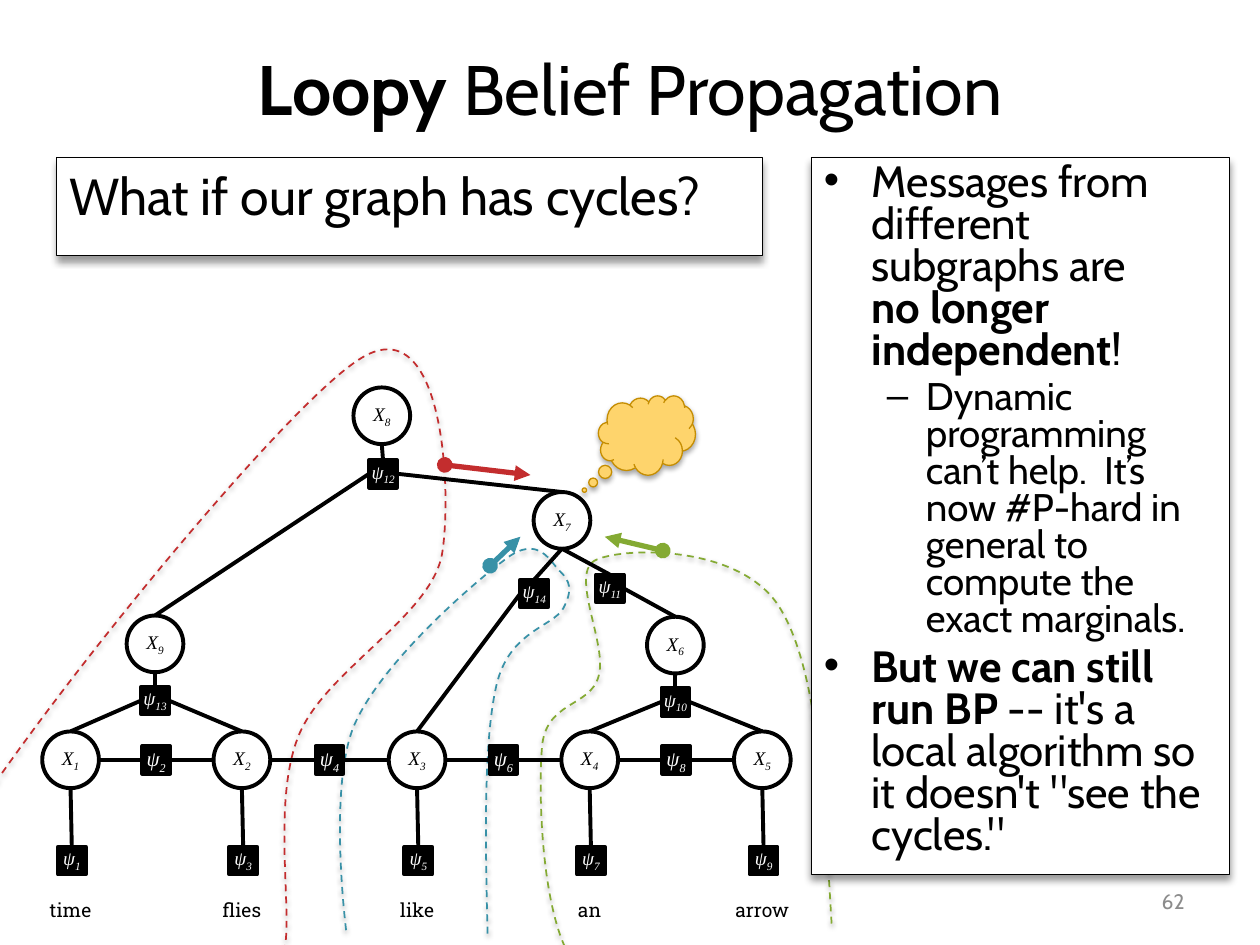
from lxml.etree import SubElement
from pptx import Presentation
from pptx.dml.color import RGBColor
from pptx.enum.dml import MSO_LINE_DASH_STYLE as Dash
from pptx.enum.shapes import MSO_CONNECTOR as Link, MSO_SHAPE as Kind
from pptx.enum.text import MSO_ANCHOR as Anchor, PP_ALIGN as Align
from pptx.oxml.ns import qn
from pptx.util import Inches, Pt

RED, GREEN, BLUE = "C32D2E", "84AA33", "3891A7"
NODE, FACTOR = 0.45, 0.22
PANEL_SHADOW = (40, 4, 3)
CURVE_SHADOW = (38, 3.1, 1.6)


def color(code):
    """Turn a hex string into a colour."""
    return RGBColor.from_string(code)


def assign(target, values):
    """Set attributes from a dict of format values."""
    for name, value in values.items():
        setattr(target, name, value)


def site(box, side):
    """Return the middle of one side of a square given as (x, y, size)."""
    x, y, size = box
    dx, dy = {"top": (0, -1), "bottom": (0, 1), "left": (-1, 0), "right": (1, 0)}[side]
    return x + dx * size / 2, y + dy * size / 2


class Canvas:
    """Style and current slide, with a method for each kind of element."""

    font, ink, paper, math_font = "Cabin", "000000", "FFFFFF", "Times New Roman"

    def __init__(self, page):
        self.page = page

    def span(self, para, text, size, ink=None, font=None, sub=False, **style):
        """Add a run of text to a paragraph."""
        run = para.add_run()
        run.text = text
        assign(run.font, dict(name=font or self.font, size=Pt(size), **style))
        run.font.color.rgb = color(ink or self.ink)
        if sub:
            run.font._element.set("baseline", "-25000")

    def frame(self, box, anchor, margin=None, wrap=True):
        """Format the text frame of a shape and return its first paragraph."""
        assign(box.text_frame, dict(word_wrap=wrap, vertical_anchor=anchor))
        if margin is not None:
            sides = ("left", "right", "top", "bottom")
            assign(box.text_frame, {f"margin_{side}": Inches(margin) for side in sides})
        return box.text_frame.paragraphs[0]

    def effect(self, box, shadow=None, ink="000000"):
        """Give a shape a downward shadow (alpha, blur, distance), or none."""
        effects = SubElement(box._element.spPr, qn("a:effectLst"))
        if shadow:
            alpha, blur, distance = shadow
            outer = SubElement(effects, qn("a:outerShdw"), blurRad=str(Pt(blur)),
                               dist=str(Pt(distance)), dir="5400000", rotWithShape="0")
            tint = SubElement(outer, qn("a:srgbClr"), val=ink)
            SubElement(tint, qn("a:alpha"), val=str(alpha * 1000))

    def stroke(self, box, ink, width):
        """Set the line colour and width."""
        box.line.color.rgb = color(ink)
        box.line.width = Pt(width)

    def shape(self, kind, at, fill, ink="000000", width=0.75, shadow=None):
        """Add a preset shape."""
        box = self.page.shapes.add_shape(kind, *map(Inches, at))
        box.fill.solid()
        box.fill.fore_color.rgb = color(fill)
        self.stroke(box, ink, width)
        self.effect(box, shadow)
        return box

    def label(self, at, text, size, ink, font, align):
        """Add a line of text in its own box."""
        box = self.page.shapes.add_textbox(*map(Inches, at))
        para = self.frame(box, Anchor.MIDDLE)
        para.alignment = align
        self.span(para, text, size, ink, font)

    def vertex(self, name, spot, size):
        """Add a variable (circle) or a factor (black square) of the graph."""
        x, y, side = spot
        is_node = name[0] == "X"
        kind, fill, ink, anchor = (
            (Kind.OVAL, self.paper, self.ink, Anchor.MIDDLE) if is_node
            else (Kind.RECTANGLE, self.ink, self.paper, Anchor.TOP))
        box = self.shape(kind, (x - side / 2, y - side / 2, side, side), fill, width=2.25)
        para = self.frame(box, anchor, margin=0, wrap=False)
        para.alignment = Align.CENTER
        self.span(para, name[0], size, ink, self.math_font, italic=True)
        self.span(para, name[1:], size, ink, self.math_font, sub=True, italic=True)

    def line(self, start, end, ink="000000", width=2.25, ends=()):
        """Add a straight line, with optional end marks."""
        link = self.page.shapes.add_connector(Link.STRAIGHT, *map(Inches, (*start, *end)))
        self.stroke(link, ink, width)
        for tag, mark in zip(("a:headEnd", "a:tailEnd"), ends):
            SubElement(link.line._get_or_add_ln(), qn(tag), type=mark)
        self.effect(link)

    def curve(self, at, points, ink):
        """Add a dashed chain of Bezier curves inside the given bounds."""
        left, top, width, height = map(Inches, at)
        builder = self.page.shapes.build_freeform(left, top)
        builder.add_line_segments([(left + width, top + height)], close=False)
        box = builder.convert_to_shape()
        outline = box._element.find(".//" + qn("a:pathLst"))[0]
        for step in list(outline):
            outline.remove(step)
        for index, (x, y) in enumerate(points):
            if index == 0:
                step = SubElement(outline, qn("a:moveTo"))
            elif index % 3 == 1:
                step = SubElement(outline, qn("a:cubicBezTo"))
            SubElement(step, qn("a:pt"), x=str(Inches(x) - left), y=str(Inches(y) - top))
        box.fill.background()
        self.stroke(box, ink, 1)
        box.line.dash_style = Dash.DASH
        self.effect(box, CURVE_SHADOW)

    def bullet(self, para, mark, level, margin, hang, before):
        """Format a paragraph as a bullet with a hanging indent."""
        assign(para, dict(level=level, alignment=Align.LEFT, line_spacing=0.8,
                          space_before=Pt(before)))
        props = para._p.get_or_add_pPr()
        props.set("marL", str(Inches(margin)))
        props.set("indent", str(-Inches(hang)))
        SubElement(props, qn("a:buFont"), typeface="Arial")
        SubElement(props, qn("a:buChar"), char=mark)


deck = Presentation()
deck.slide_width, deck.slide_height = Inches(10), Inches(7.5)
canvas = Canvas(deck.slides.add_slide(deck.slide_layouts[5]))

title = canvas.page.shapes.title
assign(title, dict(left=Inches(0.5), top=Inches(0.3), width=Inches(9), height=Inches(0.79)))
heading = canvas.frame(title, Anchor.MIDDLE)
heading.alignment = Align.CENTER
canvas.span(heading, "Loopy", 40, bold=True)
canvas.span(heading, " Belief Propagation", 40, bold=False)

# Dashed borders of the subgraphs
canvas.curve((2.7, 4.36, 1.82, 3.06), [
    (3.87, 7.41), (3.85, 6.64), (3.84, 5.87), (3.94, 5.44), (4.04, 5.01), (4.38, 4.98),
    (4.47, 4.83), (4.55, 4.68), (4.52, 4.61), (4.45, 4.54), (4.37, 4.47), (4.28, 4.23),
    (4.01, 4.44), (3.74, 4.64), (3.02, 5.27), (2.81, 5.76), (2.6, 6.26), (2.75, 7.41),
    (2.75, 7.41)], BLUE)
canvas.curve((4.29, 4.38, 2.31, 3.47), [
    (6.6, 7.33), (6.54, 6.31), (6.49, 5.29), (6.18, 4.81), (5.87, 4.33), (4.98, 4.34),
    (4.74, 4.44), (4.5, 4.53), (4.83, 5.12), (4.75, 5.37), (4.68, 5.62), (4.32, 5.56),
    (4.3, 5.95), (4.27, 6.34), (4.3, 7.41), (4.61, 7.71), (4.92, 8.01), (6.16, 7.75),
    (6.16, 7.75)], GREEN)
canvas.curve((-0.66, 2.77, 4.2, 5.03), [
    (0.86, 7.72), (-0.03, 7.82), (-0.92, 7.93), (-0.59, 7.12), (-0.26, 6.31), (2.15, 3.31),
    (2.84, 2.86), (3.52, 2.4), (3.59, 3.89), (3.51, 4.39), (3.43, 4.89), (2.58, 5.32),
    (2.37, 5.84), (2.16, 6.36), (2.32, 7.2), (2.26, 7.53), (2.19, 7.86), (1.98, 7.8),
    (1.98, 7.8)], RED)

# Factor graph: centres of the upper part, then one column for each word
spots = {"X6": (5.36, 5.12, NODE), "X7": (4.46, 4.13, NODE), "X8": (3.03, 3.3, NODE),
         "X9": (1.23, 5.11, NODE), "ψ10": (5.36, 5.57, FACTOR), "ψ11": (4.84, 4.67, FACTOR),
         "ψ12": (3.04, 3.76, FACTOR), "ψ13": (1.23, 5.56, FACTOR), "ψ14": (4.24, 4.71, FACTOR)}
edges = ["ψ10 left X4 top", "ψ10 top X6 bottom", "ψ10 right X5 top",
         "ψ12 left X9 top", "ψ12 top X8 bottom", "ψ12 right X7 top",
         "ψ14 left X3 top", "ψ14 top X7 bottom", "ψ11 right X6 top", "ψ11 top X7 bottom",
         "ψ13 left X1 top", "ψ13 top X9 bottom", "ψ13 right X2 top"]
words = ["time", "flies", "like", "an", "arrow"]
columns = [0.56, 1.92, 3.31, 4.68, 6.05]
for number, (x, word) in enumerate(zip(columns, words), 1):
    spots[f"X{number}"] = (x, 6.03, NODE)
    spots[f"ψ{2 * number - 1}"] = (x + 0.01, 6.83, FACTOR)
    edges.append(f"X{number} bottom ψ{2 * number - 1} top")
    if number < len(columns):
        spots[f"ψ{2 * number}"] = ((x + columns[number]) / 2, 6.03, FACTOR)
        edges.append(f"X{number} right X{number + 1} left")
    canvas.label((x - 0.6, 7.07, 1.2, 0.3), word, 11, "000000", "Roboto Slab", Align.CENTER)
for edge in edges:
    first, exit_side, second, entry_side = edge.split()
    canvas.line(site(spots[first], exit_side), site(spots[second], entry_side))
for name, spot in spots.items():
    canvas.vertex(name, spot, 12 if name in ("ψ2", "ψ4", "ψ6", "ψ8") else 11)

for start, end, ink in [((3.53, 3.69), (4.21, 3.77), RED),
                        ((5.26, 4.37), (4.8, 4.26), GREEN),
                        ((3.89, 4.49), (4.13, 4.26), BLUE)]:
    canvas.line(start, end, ink, 3, ("oval", "triangle"))

panel = canvas.shape(Kind.RECTANGLE, (6.44, 1.25, 3.32, 5.69), "FFFFFF", shadow=PANEL_SHADOW)
para = canvas.frame(panel, Anchor.TOP)
canvas.bullet(para, "•", 0, 0.38, 0.38, 5)
canvas.span(para, "Messages from different subgraphs are ", 25)
para.add_line_break()
canvas.span(para, "no longer independent", 25, bold=True)
canvas.span(para, "!", 25)
para = panel.text_frame.add_paragraph()
canvas.bullet(para, "–", 1, 0.81, 0.31, 4.4)
canvas.span(para, "Dynamic programming can’t help.  It’s now #P-hard in general "
                  "to compute the exact marginals. ", 22)
para = panel.text_frame.add_paragraph()
canvas.bullet(para, "•", 0, 0.38, 0.38, 5)
canvas.span(para, "But we can still run BP ", 25, bold=True)
canvas.span(para, "-- it's a local algorithm so it doesn't \"see the cycles.\"", 25)

question = canvas.shape(Kind.RECTANGLE, (0.45, 1.25, 5.6, 0.78), "FFFFFF", shadow=PANEL_SHADOW)
para = canvas.frame(question, Anchor.TOP)
assign(para, dict(alignment=Align.LEFT, space_before=Pt(6)))
canvas.span(para, "What if our graph has cycles?", 29.6)

cloud = canvas.shape(Kind.CLOUD_CALLOUT, (4.75, 3.14, 0.77, 0.63), "FED46C", "C58D01",
                     shadow=(35, 3.1, 1.8))
cloud.adjustments[0], cloud.adjustments[1] = -0.645, 0.691
canvas.label((7.17, 6.95, 2.33, 0.4), "62", 12, "8C8C8C", "Cabin", Align.RIGHT)

deck.save("out.pptx")
